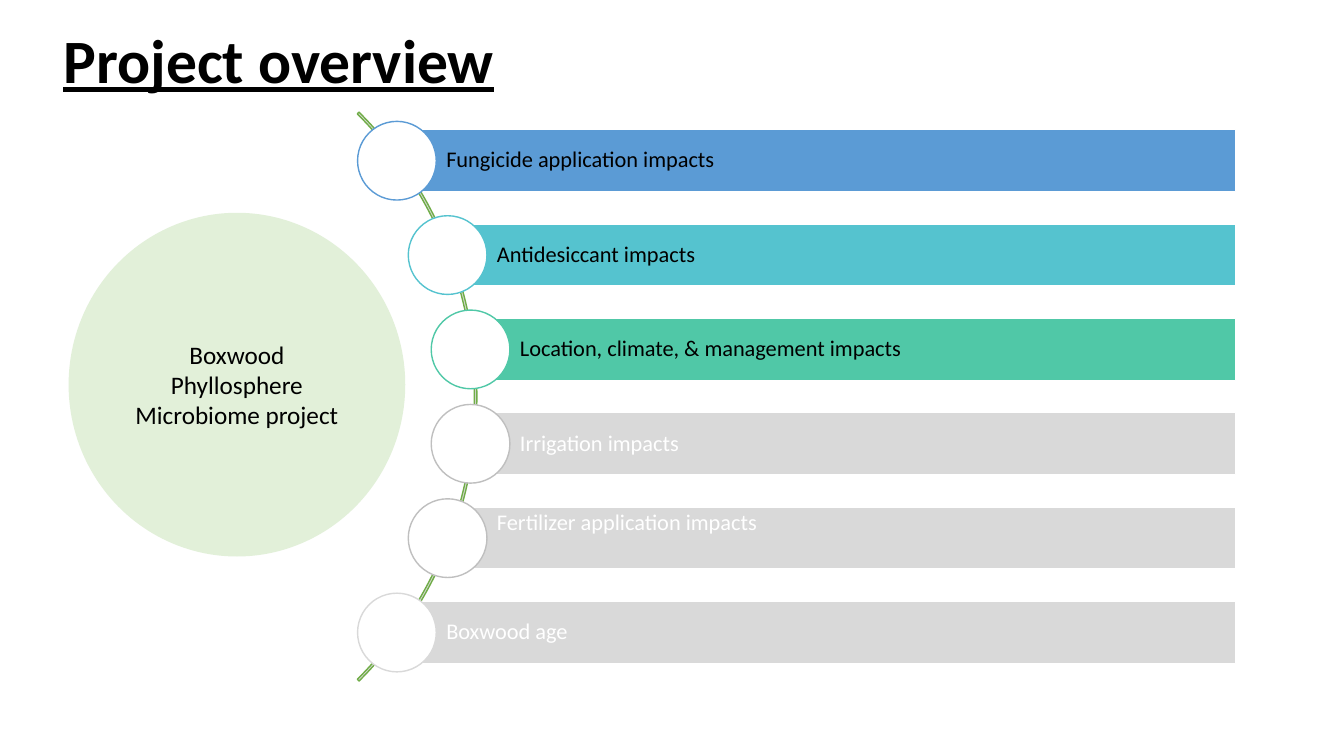
from math import sqrt

from pptx import Presentation
from pptx.dml.color import RGBColor
from pptx.enum.shapes import MSO_SHAPE
from pptx.enum.text import MSO_ANCHOR, PP_ALIGN
from pptx.util import Pt

COLORS = {
    "black": "000000",
    "white": "FFFFFF",
    "blue": "5B9BD5",
    "cyan": "55C3CF",
    "teal": "50C8A7",
    "pale_gray": "D9D9D9",
    "mid_gray": "BFBFBF",
    "green": "70AD47",
    "pale_green": "E2F0D9",
}

# Label, bar colour, ring colour, text colour, vertical anchor
TOPICS = [
    ("Fungicide application impacts", "blue", "blue", "black", MSO_ANCHOR.MIDDLE),
    ("Antidesiccant impacts", "cyan", "cyan", "black", MSO_ANCHOR.MIDDLE),
    ("Location, climate, & management impacts", "teal", "teal", "black", MSO_ANCHOR.MIDDLE),
    ("Irrigation impacts", "pale_gray", "mid_gray", "white", MSO_ANCHOR.MIDDLE),
    ("Fertilizer application impacts", "pale_gray", "mid_gray", "white", MSO_ANCHOR.TOP),
    ("Boxwood age", "pale_gray", "pale_gray", "white", MSO_ANCHOR.MIDDLE),
]


def rgb(name):
    return RGBColor.from_string(COLORS[name])


def add_figure(slide, preset, left, top, width, height, fill, line=None):
    figure = slide.shapes.add_shape(preset, Pt(left), Pt(top), Pt(width), Pt(height))
    figure.shadow.inherit = False
    figure.fill.solid()
    figure.fill.fore_color.rgb = rgb(fill)
    if line:
        figure.line.color.rgb = rgb(line)
        figure.line.width = Pt(1)
    else:
        figure.line.fill.background()
    return figure


def write(frame, text, size, color, align=PP_ALIGN.LEFT, spacing=0.9):
    frame.word_wrap = True
    paragraph = frame.paragraphs[0]
    paragraph.alignment = align
    paragraph.line_spacing = spacing
    run = paragraph.add_run()
    run.text = text
    run.font.name = "Calibri"
    run.font.size = Pt(size)
    run.font.color.rgb = rgb(color)
    return run


def add_title(slide, left, top, width, height):
    title = slide.shapes.add_textbox(Pt(left), Pt(top), Pt(width), Pt(height))
    heading = write(title.text_frame, "Project overview", 44, "black")
    heading.font.bold = True
    heading.font.underline = True


def add_topic(slide, topic, left, middle, right):
    """Bar from left to right, with a ring centred on its left edge."""
    label, bar_color, ring_color, text_color, anchor = topic
    bar_height, ring_size = 44.4, 56.2
    bar = add_figure(slide, MSO_SHAPE.RECTANGLE, left, middle - bar_height / 2,
                     right - left, bar_height, bar_color, "white")
    frame = bar.text_frame
    frame.margin_left = Pt(35.3)
    frame.margin_top = frame.margin_right = frame.margin_bottom = Pt(2.9)
    frame.vertical_anchor = anchor
    write(frame, label, 16, text_color)
    add_figure(slide, MSO_SHAPE.OVAL, left - ring_size / 2, middle - ring_size / 2,
               ring_size, ring_size, "white", ring_color)


def add_topic_arc(slide, left, top, size, right):
    """Thin arc with the topics spaced evenly down it."""
    arc = add_figure(slide, MSO_SHAPE.BLOCK_ARC, left, top, size, size,
                     "pale_gray", "green")
    for index, adjustment in enumerate((189, 27, 0.003)):
        arc.adjustments[index] = adjustment

    radius, pitch, inset = size / 2, 67.4, 2.5
    for index, topic in enumerate(TOPICS):
        offset = (index - (len(TOPICS) - 1) / 2) * pitch
        topic_left = left + radius + sqrt(radius ** 2 - offset ** 2) - inset
        add_topic(slide, topic, topic_left, top + radius + offset, right)


def add_project(slide, left, top, width, height):
    project = add_figure(slide, MSO_SHAPE.OVAL, left, top, width, height, "pale_green")
    project.text_frame.vertical_anchor = MSO_ANCHOR.MIDDLE
    write(project.text_frame, "Boxwood Phyllosphere Microbiome project", 18, "black",
          PP_ALIGN.CENTER, 1.0)


def main():
    presentation = Presentation()
    presentation.slide_width = Pt(960)
    presentation.slide_height = Pt(540)
    slide = presentation.slides.add_slide(presentation.slide_layouts[6])

    add_title(slide, 38.2, 18, 828, 104.4)
    add_topic_arc(slide, left=-234, top=-4, size=574.6, right=882.4)
    add_project(slide, 49, 152, 240.5, 245.5)

    presentation.save("out.pptx")


if __name__ == "__main__":
    main()
